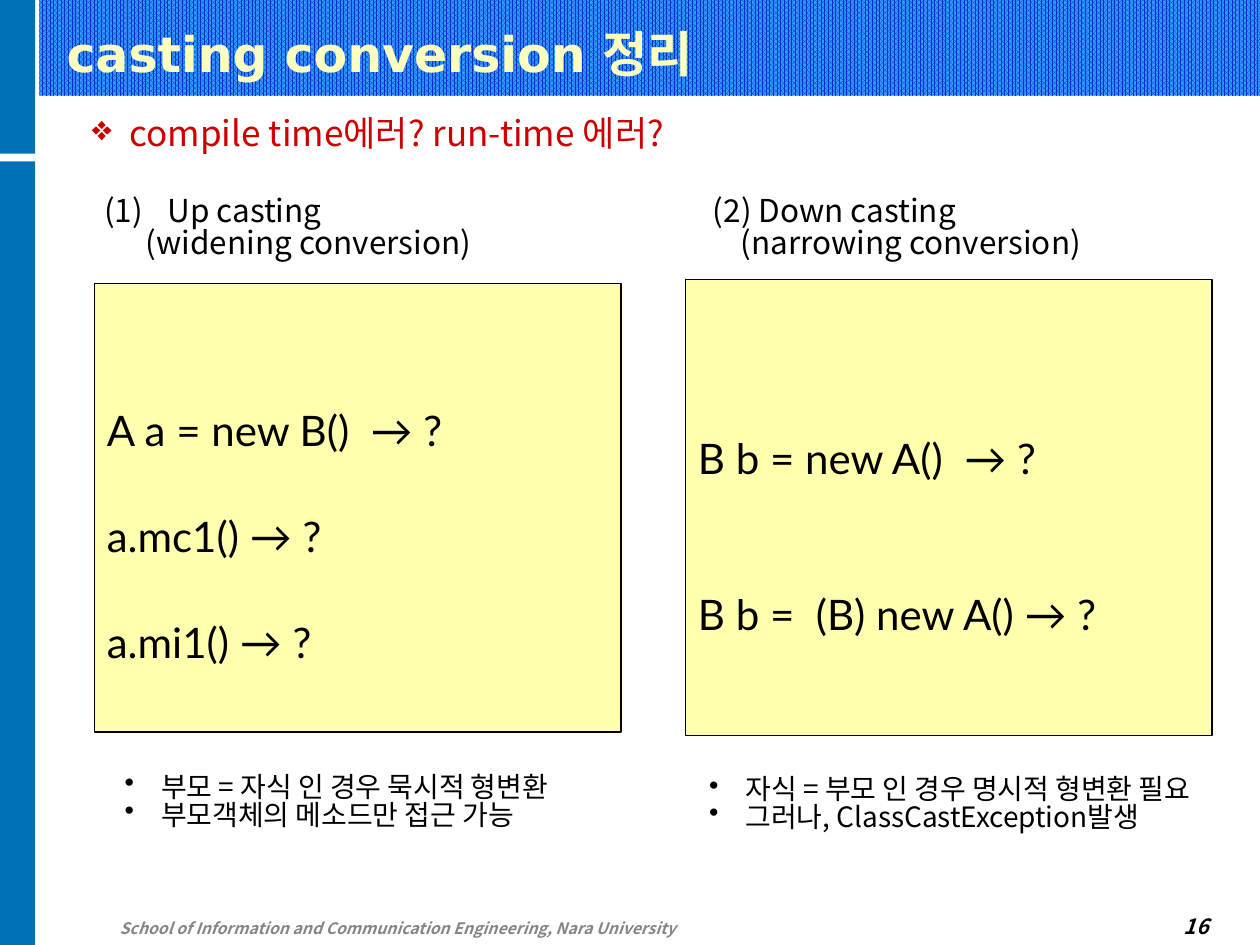
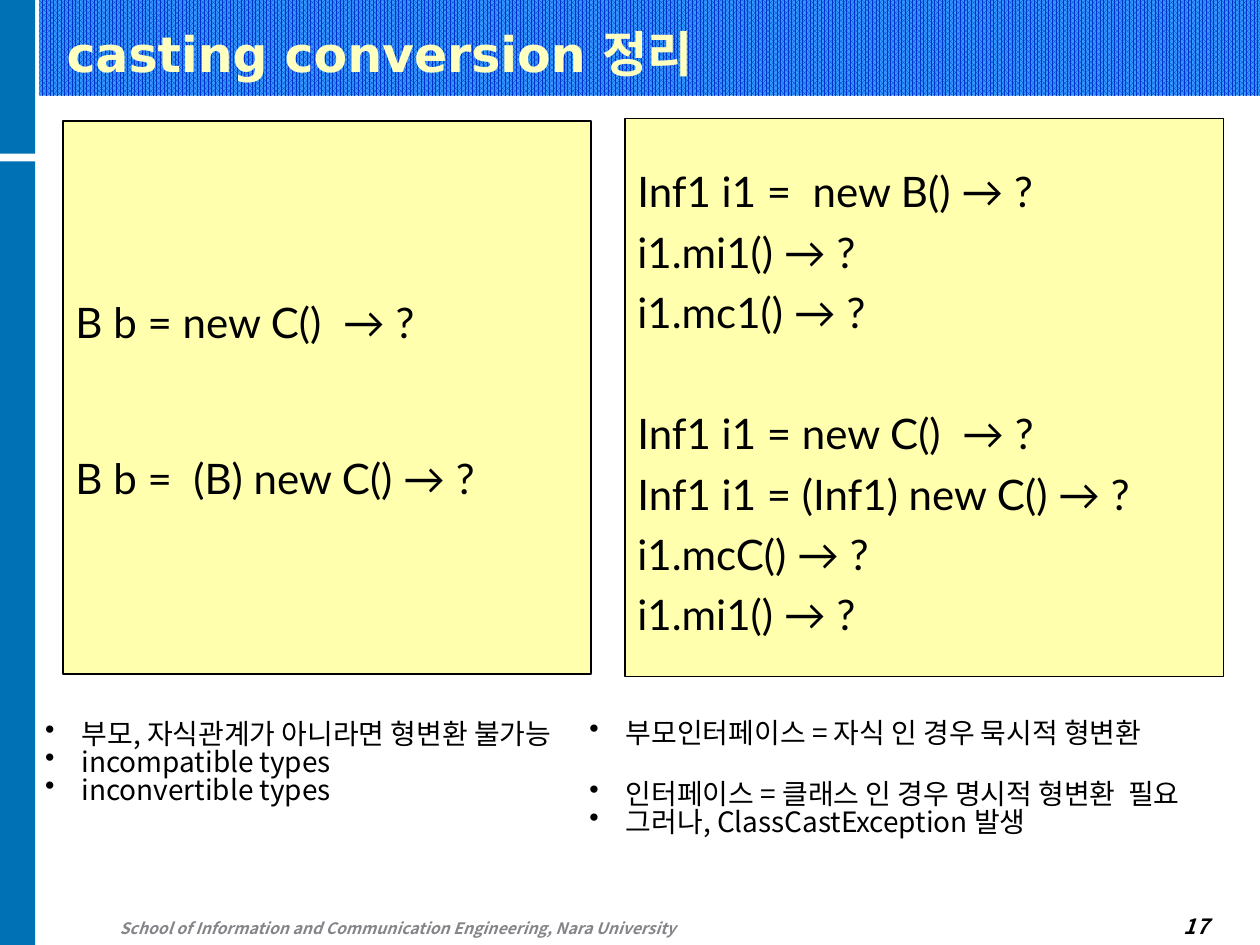
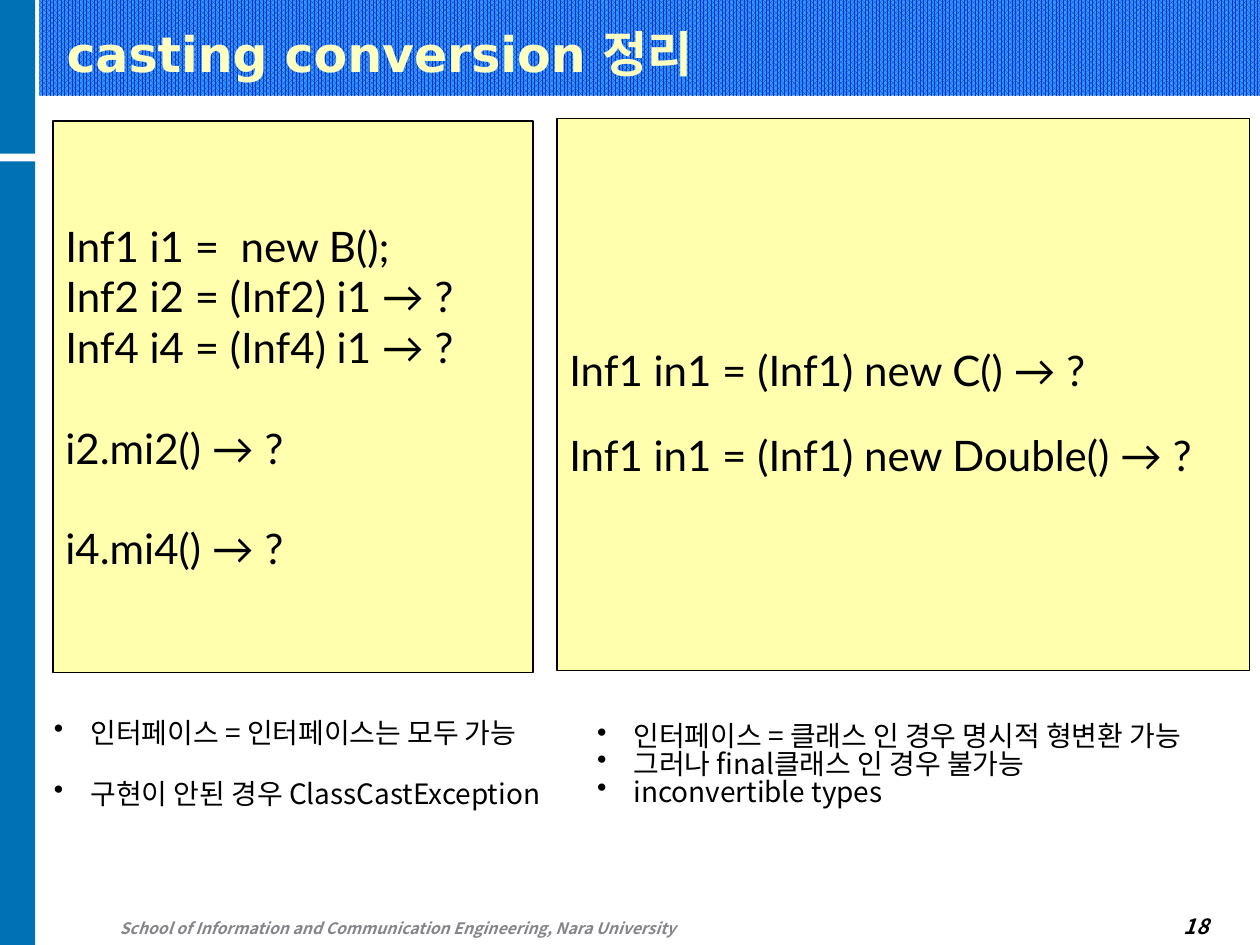
from lxml.etree import SubElement
from pptx import Presentation
from pptx.dml.color import RGBColor
from pptx.enum.dml import MSO_PATTERN
from pptx.enum.shapes import MSO_SHAPE
from pptx.enum.text import MSO_ANCHOR, PP_ALIGN
from pptx.oxml.ns import qn
from pptx.util import Inches, Pt

SANS, TITLE_FONT, CODE_FONT = "Noto Sans CJK KR", "DejaVu Sans", "Lato"
BLACK, BLUE, RED = "000000", "0071B4", "CC0000"
CREAM, CODE_FILL, GREY = "FFFFBF", "FFFFAD", "848589"
BAND_DARK, BAND_LIGHT = "0033CC", "3399FF"
TITLE = "casting conversion 정리"
FOOTER = "School of Information and Communication Engineering, Nara University"
CODE_GAP, CODE_WIDE_GAP, NOTE_GAP = 28.8, 60.5, 19.2


def rgb(value):
    """Turn a hex string into a colour."""
    return RGBColor.from_string(value)


class Deck:
    """Hold the shared style and the slide being built."""

    def __init__(self):
        """Open an empty 10 by 7.5 inch presentation."""
        self.prs = Presentation()
        self.prs.slide_width, self.prs.slide_height = Inches(10), Inches(7.5)
        self.s = None

    def slide(self, number):
        """Start a slide with its bands, footer, number and title."""
        self.s = self.prs.slides.add_slide(self.prs.slide_layouts[6])
        fill = self.rect(0.31, 0, 9.69, 0.76).fill
        fill.patterned()
        fill.pattern = MSO_PATTERN.PERCENT_80
        fill.fore_color.rgb, fill.back_color.rgb = rgb(BAND_DARK), rgb(BAND_LIGHT)
        self.rect(0, 0, 0.28, 1.22, BLUE)
        self.rect(0, 1.28, 0.28, 6.22, BLUE)
        low = {"anchor": MSO_ANCHOR.BOTTOM, "bold": True}
        self.text(0, 7.21, 6.21, 0.28, [FOOTER], 9, GREY, italic=True,
                  align=PP_ALIGN.CENTER, **low)
        self.text(7.36, 7, 2.33, 0.5, [str(number)], 12, italic=True,
                  align=PP_ALIGN.RIGHT, right=0.1, **low)
        self.text(0.43, 0.13, 8.34, 0.54, [TITLE], 28, CREAM, TITLE_FONT,
                  bottom=0.02, **low)

    def rect(self, x, y, w, h, color=None):
        """Add a plain rectangle without a line."""
        sp = self.s.shapes.add_shape(MSO_SHAPE.RECTANGLE, *map(Inches, (x, y, w, h)))
        sp.shadow.inherit = False
        sp.line.fill.background()
        if color:
            sp.fill.solid()
            sp.fill.fore_color.rgb = rgb(color)
        return sp

    def add_lines(self, sp, lines, size, color=BLACK, font=SANS, align=PP_ALIGN.LEFT,
                  bold=False, italic=False, spacing=1.0):
        """Fill a shape with lines, each a string or a string with its gap before."""
        tf = sp.text_frame
        for i, line in enumerate(lines):
            text, before = (line, 0) if isinstance(line, str) else line
            p = tf.paragraphs[0] if i == 0 else tf.add_paragraph()
            p.alignment, p.line_spacing = align, spacing
            p.space_before = Pt(before)
            r = p.add_run()
            r.text = text
            r.font.size, r.font.name = Pt(size), font
            r.font.bold, r.font.italic = bold, italic
            r.font.color.rgb = rgb(color)
            SubElement(r._r.get_or_add_rPr(), qn("a:ea"), typeface=SANS)
        return tf

    def text(self, x, y, w, h, lines, size, color=BLACK, font=SANS,
             anchor=MSO_ANCHOR.TOP, top=0.05, bottom=0.05, right=0, **style):
        """Add a text box."""
        sp = self.s.shapes.add_textbox(*map(Inches, (x, y, w, h)))
        tf = sp.text_frame
        tf.word_wrap, tf.vertical_anchor = True, anchor
        tf.margin_top, tf.margin_bottom = Inches(top), Inches(bottom)
        tf.margin_right = Inches(right)
        return self.add_lines(sp, lines, size, color, font, **style)

    def indent(self, p, left, hang=0, bullet=None, **attrs):
        """Indent a paragraph and give it a bullet if one is named."""
        pPr = p._p.get_or_add_pPr()
        pPr.set("marL", str(Inches(left)))
        pPr.set("indent", str(-Inches(hang)))
        if bullet:
            SubElement(pPr, qn(bullet), **attrs)

    def body(self, x, y, w, h, lines, size, color=BLACK):
        """Add body text with tight lines."""
        return self.text(x, y, w, h, lines, size, color, top=0.07, spacing=0.83)

    def bullets(self, x, y, w, h, lines, size=16, color=BLACK, char="•", hang=0.29):
        """Add a bulleted list."""
        for p in self.body(x, y, w, h, lines, size, color).paragraphs:
            self.indent(p, hang, hang, "a:buChar", char=char)

    def code(self, x, y, w, h, lines, spacing=1.0, bottom=0.05):
        """Add a yellow code panel."""
        sp = self.rect(x, y, w, h, CODE_FILL)
        sp.line.color.rgb, sp.line.width = rgb(BLACK), Pt(0.75)
        tf = self.add_lines(sp, lines, 24, font=CODE_FONT, spacing=spacing)
        tf.word_wrap, tf.vertical_anchor = True, MSO_ANCHOR.MIDDLE
        tf.margin_bottom = Inches(bottom)
        return tf

    def cast_pair(self, x, y, w, h, lines, bottom=0.05):
        """Add a code panel with a plain line and a cast line far apart."""
        first, second = lines
        tf = self.code(x, y, w, h, [first, (second, CODE_WIDE_GAP)], 2.1, bottom)
        tf.paragraphs[1].line_spacing = 1.0


def main():
    """Build the three slides."""
    d = Deck()

    d.slide(16)
    d.code(0.75, 2.25, 4.18, 3.56,
           ["A a = new B()  → ?", "a.mc1() → ?", "a.mi1() → ?"], 2.1)
    up = d.body(0.73, 1.5, 3.34, 0.7, ["Up casting", "(widening conversion)"], 18)
    d.indent(up.paragraphs[0], 0.5, 0.5, "a:buAutoNum", type="arabicParenBoth")
    d.indent(up.paragraphs[1], 0.33)
    down = d.body(5.56, 1.5, 3.32, 0.7,
                  ["(2) Down casting", "(narrowing conversion)"], 18)
    d.indent(down.paragraphs[1], 0.22)
    d.cast_pair(5.44, 2.22, 4.18, 3.62,
                ["B b = new A()  → ?", "B b =  (B) new A() → ?"])
    d.bullets(0.63, 0.87, 5.05, 0.43, ["compile time에러? run-time 에러?"],
              20, RED, "❖", 0.3)
    d.bullets(0.89, 6.08, 3.82, 0.64,
              ["부모 = 자식 인 경우 묵시적 형변환", "부모객체의 메소드만 접근 가능"])
    d.bullets(5.53, 6.1, 4.34, 0.64,
              ["자식 = 부모 인 경우 명시적 형변환 필요",
               "그러나, ClassCastException발생"])

    d.slide(17)
    d.cast_pair(0.5, 0.96, 4.19, 4.39,
                ["B b = new C()  → ?", "B b =  (B) new C() → ?"], 0.45)
    d.code(4.96, 0.94, 4.75, 4.43,
           ["Inf1 i1 =  new B() → ?", "i1.mi1() → ?", "i1.mc1() → ?",
            ("Inf1 i1 = new C()  → ?", 1.2 * CODE_GAP),
            "Inf1 i1 = (Inf1) new C() → ?", "i1.mcC() → ?", "i1.mi1() → ?"], 1.2)
    d.bullets(0.26, 5.66, 4.48, 0.9,
              ["부모, 자식관계가 아니라면 형변환 불가능",
               "incompatible types", "inconvertible types"])
    d.bullets(4.58, 5.65, 5.3, 1.17,
              ["부모인터페이스 = 자식 인 경우 묵시적 형변환",
               ("인터페이스 = 클래스 인 경우 명시적 형변환  필요", NOTE_GAP),
               "그러나, ClassCastException 발생"])

    d.slide(18)
    d.code(0.42, 0.96, 3.81, 4.38,
           ["Inf1 i1 =  new B();", "Inf2 i2 = (Inf2) i1 → ?",
            "Inf4 i4 = (Inf4) i1 → ?",
            ("i2.mi2() → ?", CODE_GAP), ("i4.mi4() → ?", CODE_GAP)])
    d.code(4.42, 0.94, 5.5, 4.38,
           ["Inf1 in1 = (Inf1) new C() → ?", "Inf1 in1 = (Inf1) new Double() → ?"],
           1.7)
    d.bullets(0.33, 5.65, 4.19, 0.9,
              ["인터페이스 = 인터페이스는 모두 가능",
               ("구현이 안된 경우 ClassCastException", NOTE_GAP)])
    d.bullets(4.64, 5.68, 5.36, 0.9,
              ["인터페이스 = 클래스 인 경우 명시적 형변환 가능",
               "그러나 final클래스 인 경우 불가능", "inconvertible types"])

    d.prs.save("out.pptx")


if __name__ == "__main__":
    main()
